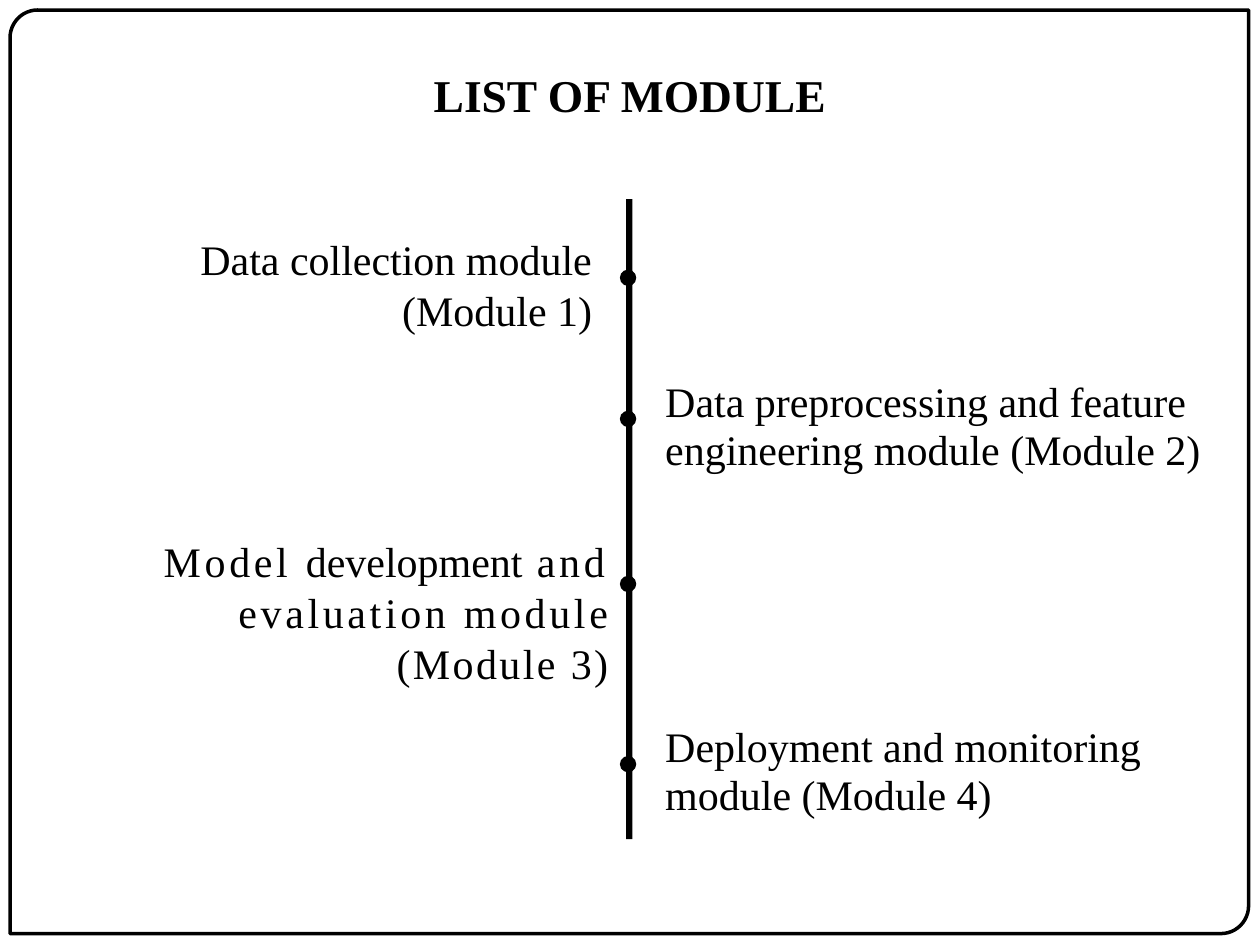
"""Build a timeline slide that lists four project modules."""
import pptx
import pptx.util
import pptx.dml.color
import pptx.enum.shapes
import pptx.enum.text

Inches, Pt = pptx.util.Inches, pptx.util.Pt
Shape = pptx.enum.shapes.MSO_SHAPE
Align = pptx.enum.text.PP_ALIGN
Fit = pptx.enum.text.MSO_AUTO_SIZE
Anchor = pptx.enum.text.MSO_ANCHOR

COLORS = {"ink": "000000", "page": "FFFFFF"}
INK = pptx.dml.color.RGBColor.from_string(COLORS["ink"])
BODY = {"name": "Times New Roman", "size": Pt(24), "bold": False}
HEAD = {**BODY, "size": Pt(26), "bold": True}
LEFT = {"alignment": Align.RIGHT, "line_spacing": Pt(29)}
RIGHT = {"alignment": Align.LEFT, "line_spacing": Pt(27.3)}
MID = {"alignment": Align.CENTER}
ZERO = {f"margin_{side}": 0 for side in ("left", "top", "right", "bottom")}
FRAME = {**ZERO, "word_wrap": True, "auto_size": Fit.SHAPE_TO_FIT_TEXT}
TITLE = {"word_wrap": True, "auto_size": Fit.NONE, "vertical_anchor": Anchor.MIDDLE}

HEADING = [[("LIST OF MODULE", 0)]]
MODULES = [
    ((1.33, 1.85, 3.37, 0.81), LEFT,
     [[("Data collection module", 0)], [("(Module 1)", 0)]]),
    ((5.28, 3, 4.33, 0.76), RIGHT,
     [[("Data preprocessing and feature engineering module (Module 2)", 0)]]),
    ((0.5, 4.25, 4.33, 1.21), LEFT,
     [[("Model ", 2.1), ("development", 0), (" and evaluation module", 2.1)],
      [("(Module 3)", 1.4)]]),
    ((5.28, 5.74, 4.33, 0.76), RIGHT,
     [[("Deployment and monitoring module (Module 4)", 0)]]),
]
DOTS = [2.14, 3.26, 4.57, 6]
DOT = 0.13


def style(item, values):
    for key, value in values.items():
        setattr(item, key, value)


def add_part(slide, kind, box):
    part = slide.shapes.add_shape(kind, *map(Inches, box))
    part.shadow.inherit = False
    return part


def add_solid(slide, kind, box):
    part = add_part(slide, kind, box)
    part.fill.solid()
    part.fill.fore_color.rgb = INK
    part.line.fill.background()


def add_text(slide, box, lines, frame, para, font):
    text = slide.shapes.add_textbox(*map(Inches, box)).text_frame
    style(text, frame)
    for index, line in enumerate(lines):
        row = text.add_paragraph() if index else text.paragraphs[0]
        style(row, para)
        for words, gap in line:
            run = row.add_run()
            run.text = words
            style(run.font, font)
            run.font.color.rgb = INK
            if gap:
                run._r.get_or_add_rPr().set("spc", str(round(gap * 100)))


def main():
    deck = pptx.Presentation()
    deck.slide_width, deck.slide_height = Inches(10), Inches(7.5)
    slide = deck.slides.add_slide(deck.slide_layouts[6])
    slide.background.fill.solid()
    slide.background.fill.fore_color.rgb = pptx.dml.color.RGBColor.from_string(COLORS["page"])

    border = add_part(slide, Shape.ROUND_2_DIAG_RECTANGLE, (0.08, 0.08, 9.83, 7.33))
    border.adjustments[0], border.adjustments[1] = 0.03, 0
    border.fill.background()
    border.line.color.rgb = INK
    border.line.width = Pt(2)

    add_text(slide, (0.5, 0.27, 9, 0.95), HEADING, TITLE, MID, HEAD)
    add_solid(slide, Shape.RECTANGLE, (4.97, 1.58, 0.05, 5.08))
    for top, (box, para, lines) in zip(DOTS, MODULES):
        add_solid(slide, Shape.OVAL, (4.92, top, DOT, DOT))
        add_text(slide, box, lines, FRAME, para, BODY)
    deck.save("out.pptx")


if __name__ == "__main__":
    main()
